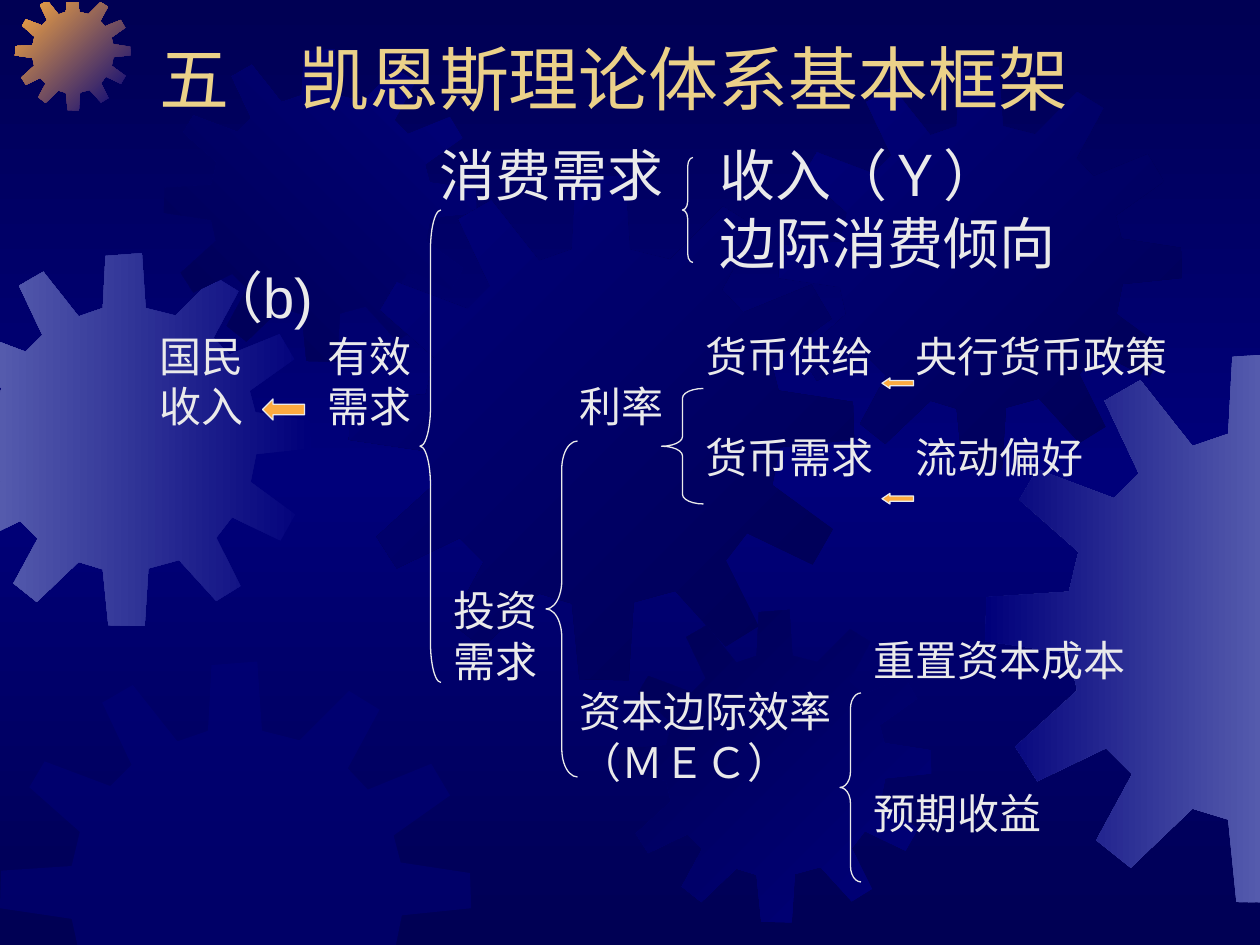
import pptx
import pptx.dml.color
import pptx.enum.shapes
import pptx.enum.text
import pptx.oxml.ns
import pptx.util
from copy import deepcopy
from lxml import etree

Pt = pptx.util.Pt
SHAPE = pptx.enum.shapes.MSO_SHAPE
ANCHOR = pptx.enum.text.MSO_ANCHOR

COLORS = {"navy": "000054", "blue": "00007A", "haze": "555BAD",
          "orange": "FCAB40", "gold": "EBD189", "text": "EAEAEA"}

# Gear outline on a square of GEAR_SIZE units
GEAR_SIZE = 401
GEAR = [
    (255, 67), (223, 59), (219, 0), (180, 3), (177, 59), (151, 68),
    (113, 20), (87, 35), (112, 88), (94, 106), (38, 85), (25, 107),
    (68, 145), (61, 174), (1, 178), (0, 210), (61, 219), (67, 246),
    (22, 287), (38, 312), (88, 288), (107, 307), (81, 355), (106, 375),
    (151, 332), (177, 340), (183, 400), (222, 401), (226, 339), (259, 330),
    (299, 374), (325, 358), (299, 306), (316, 284), (368, 309), (384, 281),
    (336, 246), (342, 216), (401, 210), (400, 180), (341, 171), (335, 148),
    (383, 114), (367, 87), (313, 109), (296, 91), (323, 41), (297, 25)]

# Left, top, size, gradient start, gradient end, clockwise angle
GEARS = [
    (-35.3, 144.7, 213.1, "blue", "haze", 180),
    (8.6, -2.9, 66, "blue", "orange", 225),
    (93.6, 28.1, 178.6, "blue", "navy", 135),
    (199.4, 100.1, 288.7, "navy", "blue", 225),
    (0, 378, 269.3, "blue", None, 0),
    (353.5, 348.5, 178.6, "blue", "navy", 225),
    (445, 38.2, 230.4, "navy", "blue", 225),
    (563, 201.6, 314.6, "haze", "blue", 180)]
WINDOW = (-0.7, 1.4, 720.7, 542.9)

# Tree labels: column in characters, row, lines
LARGE_LABELS = [(5, 0, ["消费需求"]), (10, 0, ["收入（Ｙ）", "边际消费倾向"])]
SMALL_LABELS = [
    (0, 0, ["国民", "收入"]), (4, 0, ["有效", "需求"]),
    (13, 0, ["货币供给"]), (18, 0, ["央行货币政策"]),
    (10, 1, ["利率"]),
    (13, 2, ["货币需求"]), (18, 2, ["流动偏好"]),
    (7, 5, ["投资", "需求"]), (17, 6, ["重置资本成本"]),
    (10, 7, ["资本边际效率", "（ＭＥＣ）"]), (17, 9, ["预期收益"])]

# Left, top, width, height relative to the tree box
BRACES = [(156, 36, 12, 270), (306, 6, 6, 60), (228, 168, 18, 192),
          (294, 138, 24, 66), (396, 312, 12, 108)]
ARROWS = [(66, 144, 24, 12), (420, 132, 18, 6), (420, 198, 18, 6)]


def rgb(name):
    return pptx.dml.color.RGBColor.from_string(COLORS[name])


def set_gradient(fill, start, end, angle):
    fill.gradient()
    fill.gradient_angle = (360 - angle) % 360
    for stop, name in zip(fill.gradient_stops, (start, end)):
        stop.color.rgb = rgb(name)


def clip(points, axis, limit, sign):
    """Keep the part of a polygon where sign * coordinate >= sign * limit."""
    kept = []
    for a, b in zip(points[-1:] + points[:-1], points):
        a_in = sign * a[axis] >= sign * limit
        b_in = sign * b[axis] >= sign * limit
        if a_in != b_in:
            t = (limit - a[axis]) / (b[axis] - a[axis])
            kept.append(tuple(u + t * (v - u) for u, v in zip(a, b)))
        if b_in:
            kept.append(b)
    return kept


def add_gear(s, left, top, size, start, end, angle):
    k = size / GEAR_SIZE
    points = [(left + x * k, top + y * k) for x, y in GEAR]
    for i, limit in enumerate(WINDOW):
        points = clip(points, i % 2, limit, 1 if i < 2 else -1)
    points = [(Pt(x), Pt(y)) for x, y in points]
    builder = s.shapes.build_freeform(*points[0], scale=1.0)
    builder.add_line_segments(points[1:], close=True)
    sp = builder.convert_to_shape()
    sp.shadow.inherit = False
    sp.line.fill.background()
    if end:
        set_gradient(sp.fill, start, end, angle)
    else:  # half-transparent plain gear
        sp.fill.solid()
        sp.fill.fore_color.rgb = rgb(start)
        color = sp._element.xpath("./p:spPr/a:solidFill/a:srgbClr")[0]
        etree.SubElement(color, pptx.oxml.ns.qn("a:alpha"), val="50000")


def add_background(s):
    set_gradient(s.background.fill, "navy", "navy", 90)
    first = s._element.xpath(".//p:bg//a:gs")[0]
    middle = deepcopy(first)
    first.addnext(middle)
    middle.set("pos", "50000")
    s.background.fill.gradient_stops[1].color.rgb = rgb("blue")
    for gear in GEARS:
        add_gear(s, *gear)


def add_text(s, left, top, width, height, lines, size, color="text", gap=0,
             spacing=1.0):
    tf = s.shapes.add_textbox(Pt(left), Pt(top), Pt(width), Pt(height)).text_frame
    tf.word_wrap = True
    tf.margin_left = tf.margin_right = tf.margin_top = tf.margin_bottom = 0
    tf.text = "\n".join(lines)
    for i, p in enumerate(tf.paragraphs):
        p.line_spacing = spacing
        p.space_before = Pt(gap if i else 0)
        font = p.runs[0].font
        font.name, font.size, font.color.rgb = "Arial", Pt(size), rgb(color)
    return tf


def add_title(s, left, top, width, height):
    tf = add_text(s, left, top, width, height, ["五　凯恩斯理论体系基本框架"], 40, "gold")
    tf.vertical_anchor = ANCHOR.BOTTOM
    tf.margin_left = tf.margin_right = Pt(7.2)
    tf.margin_top = tf.margin_bottom = Pt(3.6)


def add_labels(s, left, top, labels, size, gap):
    pitch = 0.8 * 1.2 * size + gap
    for col, row, lines in labels:
        width = (max(map(len, lines)) + 0.5) * size
        add_text(s, left + col * size, top + row * pitch, width,
                 len(lines) * pitch, lines, size, gap=gap, spacing=0.8)


def add_mark(s, kind, left, top, width, height):
    sp = s.shapes.add_shape(kind, Pt(left), Pt(top), Pt(width), Pt(height))
    sp.shadow.inherit = False
    sp.line.color.rgb = rgb("text")
    sp.line.width = Pt(0.75)
    if kind == SHAPE.LEFT_BRACE:
        sp.fill.background()
        sp.adjustments[0] = height / 12 / min(width, height)
    else:
        sp.fill.solid()
        sp.fill.fore_color.rgb = rgb("orange")
        sp.adjustments[1] = width / 4 / height


def add_tree(s, left, top):
    # Labels
    text_left = left + 7.4
    add_labels(s, text_left, top + 3.8, LARGE_LABELS, 32, 8)
    add_text(s, text_left + 27, top + 73.4, 80, 31, ["（b)"], 32, spacing=0.8)
    add_labels(s, text_left, top + 110.2, SMALL_LABELS, 24, 6)
    # Braces and arrows
    for kind, boxes in ((SHAPE.LEFT_BRACE, BRACES), (SHAPE.LEFT_ARROW, ARROWS)):
        for x, y, width, height in boxes:
            add_mark(s, kind, left + x, top + y, width, height)


def main():
    prs = pptx.Presentation()
    prs.slide_width, prs.slide_height = Pt(720), Pt(540)
    s = prs.slides.add_slide(prs.slide_layouts[6])
    add_background(s)
    add_title(s, 84, 24, 612, 48)
    add_tree(s, 84, 84)
    prs.save("out.pptx")


if __name__ == "__main__":
    main()
